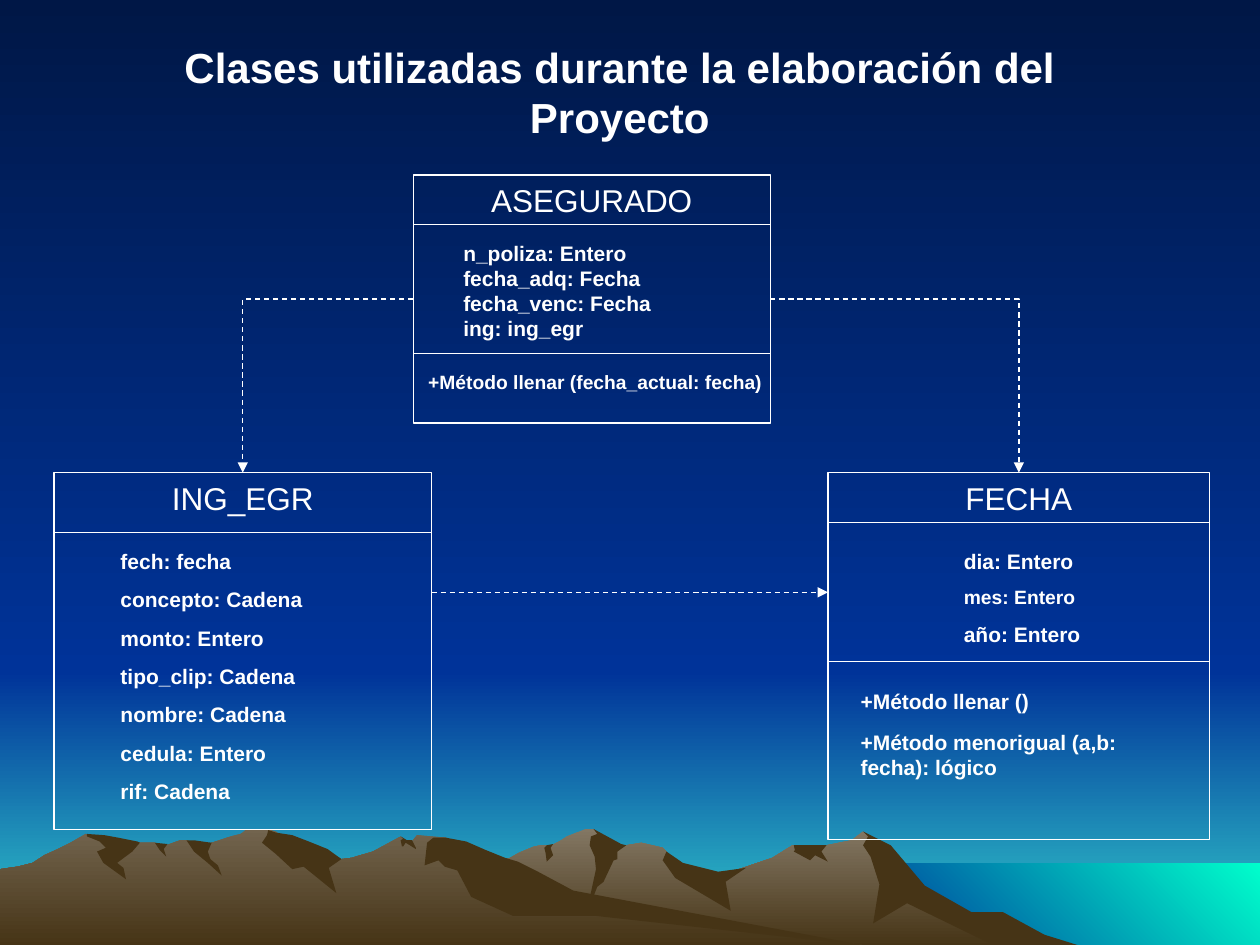
from lxml import etree
from pptx import Presentation
from pptx.dml.color import RGBColor
from pptx.enum.dml import MSO_LINE
from pptx.enum.shapes import MSO_CONNECTOR, MSO_SHAPE
from pptx.enum.text import MSO_ANCHOR, MSO_AUTO_SIZE, PP_ALIGN
from pptx.oxml.ns import qn
from pptx.util import Cm, Pt

RECT = MSO_SHAPE.RECTANGLE
STRAIGHT, ELBOW = MSO_CONNECTOR.STRAIGHT, MSO_CONNECTOR.ELBOW
DASH = MSO_LINE.DASH
LEFT, CENTER = PP_ALIGN.LEFT, PP_ALIGN.CENTER
TOP = MSO_ANCHOR.TOP
FIT = MSO_AUTO_SIZE.SHAPE_TO_FIT_TEXT
FONT = "Arial"
COLORS = {"white": "FFFFFF", "night": "001746", "blue": "003399", "horizon": "33CCCC",
          "sea": "00FFCC", "far": "837763", "near": "72644E", "shade": "463416"}
UNIT = Cm(2.54) / 100
DOWN, DOWN_LEFT = 270, 225

FAR_RANGE = [
    (802, 82), (778, 69), (764, 65), (723, 40), (702, 13), (685, 2), (676, 9), (656, 13),
    (629, 13), (613, 23), (566, 39), (536, 32), (529, 18), (526, 15), (509, 11), (497, 13),
    (486, 15), (474, 3), (471, 0), (465, 0), (450, 6), (444, 10), (438, 13), (430, 13),
    (424, 14), (412, 19), (405, 23), (394, 27), (355, 40), (327, 51), (277, 81), (258, 93),
    (821, 93)]
NEAR_RANGE = [
    (690, 93), (667, 90), (432, 54), (354, 7), (331, 5), (327, 10), (323, 10), (318, 6),
    (296, 18), (279, 23), (271, 24), (260, 18), (236, 23), (223, 5), (219, 2), (212, 0),
    (196, 0), (191, 4), (183, 6), (168, 11), (160, 13), (148, 9), (143, 9), (132, 13),
    (128, 13), (123, 11), (111, 11), (94, 13), (68, 4), (56, 11), (46, 16), (35, 21),
    (26, 27), (14, 30), (0, 32), (0, 93)]
FAR_SHADES = [
    [(796, 66), (771, 66), (734, 45), (707, 13), (685, 2), (689, 6), (685, 13), (691, 22),
     (698, 44), (693, 75), (720, 59), (792, 94), (858, 93), (829, 84)],
    [(471, 0), (474, 4), (469, 6), (468, 13), (472, 22), (473, 32), (465, 69), (474, 46),
     (479, 42), (487, 25), (490, 24), (490, 18), (497, 13), (493, 12)],
    [(529, 18), (526, 25), (536, 39), (580, 65), (576, 42), (592, 31), (570, 34), (542, 27)],
    [(650, 13), (630, 13), (631, 17), (630, 18), (643, 25), (647, 21), (657, 26), (652, 18),
     (656, 13)],
    [(433, 19), (432, 15), (434, 13), (439, 12), (437, 15), (439, 21), (434, 26)]]
NEAR_SHADES = [
    [(212, 5), (208, 11), (219, 20), (232, 32), (241, 30), (267, 51), (261, 31), (271, 24),
     (260, 16), (245, 10), (232, 5), (219, 3), (213, 1)],
    [(370, 10), (354, 7), (344, 7), (339, 11), (337, 29), (348, 25), (353, 30), (363, 33),
     (374, 54), (407, 69), (472, 69), (690, 93), (683, 92), (455, 49), (427, 34), (411, 26),
     (401, 23), (386, 17)],
    [(318, 9), (320, 8), (318, 6), (323, 9), (327, 9), (330, 15), (330, 16), (322, 11),
     (320, 14), (319, 14)],
    [(154, 9), (168, 11), (165, 18), (167, 24), (173, 29), (176, 37), (165, 27), (154, 18),
     (148, 9)],
    [(133, 12), (130, 16), (132, 22), (127, 17), (123, 11)],
    [(109, 10), (111, 11), (105, 18), (93, 27), (98, 31), (100, 40), (82, 27), (77, 18),
     (84, 15), (79, 10), (69, 6), (69, 4), (83, 5), (94, 7)]]


def rgb(name):
    """Return the named colour."""
    return RGBColor.from_string(COLORS[name])


def paint(fill, names, angle=DOWN):
    """Fill with one colour, or with a gradient of two."""
    if len(names) == 1:
        fill.solid()
        fill.fore_color.rgb = rgb(names[0])
        return
    fill.gradient()
    fill.gradient_angle = angle
    for position, (stop, name) in enumerate(zip(fill.gradient_stops, names)):
        stop.color.rgb = rgb(name)
        stop.position = position


def add_band(s, box, names, angle=DOWN):
    """Add a borderless rectangle with a gradient."""
    sp = s.shapes.add_shape(RECT, *map(Cm, box))
    sp.shadow.inherit = False
    sp.line.fill.background()
    paint(sp.fill, names, angle)


def add_mountains(s, box):
    """Draw both ranges with their shades from the top left of the box."""
    left, top = map(Cm, box[:2])
    layers = [(FAR_RANGE, ["far", "shade"])]
    layers += [(points, ["shade"]) for points in FAR_SHADES]
    layers += [(NEAR_RANGE, ["near", "shade"])]
    layers += [(points, ["shade"]) for points in NEAR_SHADES]
    for points, names in layers:
        builder = s.shapes.build_freeform(*points[0], scale=UNIT)
        builder.add_line_segments(points[1:], close=True)
        sp = builder.convert_to_shape(left, top)
        sp.shadow.inherit = False
        sp.line.fill.background()
        paint(sp.fill, names)


def add_landscape(s, box):
    """Fill the box with sky, horizon, sea and mountains."""
    x, y, w, h = box
    paint(s.background.fill, ["night", "blue"])
    add_band(s, (x, y + 13.54, w, h - 13.54), ["blue", "horizon"])
    add_band(s, (x, y, w, 13.54), ["night", "blue"])
    add_band(s, (x + 17.35, y + 17.4, w - 17.35, h - 17.4), ["sea", "blue"], DOWN_LEFT)
    add_mountains(s, (x, y + 16.71, w, h - 16.71))


def write(tf, lines, bold=True, align=LEFT, before=0):
    """Write (text, size) lines, with space before as a share of the size."""
    tf.word_wrap = True
    tf.vertical_anchor = TOP
    for i, (text, size) in enumerate(lines):
        p = tf.add_paragraph() if i else tf.paragraphs[0]
        p.alignment = align
        p.space_before = Pt(size * before)
        r = p.add_run()
        r.text = text
        r.font.name, r.font.size, r.font.bold = FONT, Pt(size), bold
        r.font.color.rgb = rgb("white")


def add_text(s, box, lines, **style):
    """Add a text box that grows with its text."""
    tf = s.shapes.add_textbox(*map(Cm, box)).text_frame
    write(tf, lines, **style)
    tf.auto_size = FIT


def add_line(s, kind, ends=(0, 0, 0, 0)):
    """Add a thin white connector without shadow."""
    c = s.shapes.add_connector(kind, *map(Cm, ends))
    c.line.color.rgb = rgb("white")
    c.line.width = Pt(0.75)
    etree.SubElement(c._element.spPr, qn("a:effectLst"))
    return c


def add_arrow(s, kind, ends=(0, 0, 0, 0)):
    """Add a dashed connector with an arrowhead at its end."""
    c = add_line(s, kind, ends)
    c.line.dash_style = DASH
    etree.SubElement(c.line._get_or_add_ln(), qn("a:tailEnd"), type="triangle")
    return c


def add_elbow(s, start, site, end):
    """Join a side of one class to the top of another with a single bend."""
    c = add_arrow(s, ELBOW)
    c.begin_connect(start, site)
    c.end_connect(end, 0)
    c._element.spPr.find(qn("a:prstGeom")).set("prst", "bentConnector2")


def add_class(s, box, name, dividers, texts):
    """Draw a class with its name, dividers and texts, and return its frame."""
    x, y, w, h = box
    sp = s.shapes.add_shape(RECT, *map(Cm, box))
    sp.shadow.inherit = False
    sp.fill.background()
    sp.line.color.rgb = rgb("white")
    sp.line.width = Pt(0.75)
    write(sp.text_frame, [(name, 18)], bold=False, align=CENTER, before=0.25)
    for dy in dividers:
        add_line(s, STRAIGHT, (x, y + dy, x + w, y + dy))
    for (dx, dy, tw, th), lines, before in texts:
        add_text(s, (x + dx, y + dy, tw, th), lines, before=before)
    return sp


def main():
    """Build the class diagram slide."""
    prs = Presentation()
    prs.slide_width, prs.slide_height = Cm(25.4), Cm(19.05)
    s = prs.slides.add_slide(prs.slide_layouts[6])
    add_landscape(s, (0, 0, 25.4, 19.05))
    add_text(s, (2.69, 0.71, 19.61, 2.29),
             [("Clases utilizadas durante la elaboración del Proyecto", 24)],
             align=CENTER, before=0.625)
    fields = ["fech: fecha", "concepto: Cadena", "monto: Entero", "tipo_clip: Cadena",
              "nombre: Cadena", "cedula: Entero", "rif: Cadena"]
    ing_egr = add_class(s, (1.09, 9.53, 7.61, 7.2), "ING_EGR", [1.2], [
        ((1.09, 1.4, 4.7, 5.41), [(field, 12) for field in fields], 0.625)])
    fields = ["n_poliza: Entero", "fecha_adq: Fecha", "fecha_venc: Fecha", "ing: ing_egr"]
    asegurado = add_class(s, (8.33, 3.53, 7.2, 5), "ASEGURADO", [1, 3.6], [
        ((0.76, 1.19, 5.79, 2.29), [(field, 12) for field in fields], 0),
        ((0.05, 3.81, 7.59, 0.74), [("+Método llenar (fecha_actual: fecha)", 11)], 0)])
    fecha = add_class(s, (16.69, 9.53, 7.7, 7.4), "FECHA", [1, 3.8], [
        ((2.49, 1.4, 3.91, 2.26),
         [("dia: Entero", 12), ("mes: Entero", 11), ("año: Entero", 12)], 0.625),
        ((0.41, 4.22, 4.6, 0.76), [("+Método llenar ()", 12)], 0),
        ((0.41, 5.05, 7.01, 1.27), [("+Método menorigual (a,b: fecha): lógico", 12)], 0)])
    add_elbow(s, asegurado, 1, ing_egr)
    add_elbow(s, asegurado, 3, fecha)
    add_arrow(s, STRAIGHT, (8.7, 11.94, 16.69, 11.94))
    prs.save("out.pptx")


if __name__ == "__main__":
    main()
